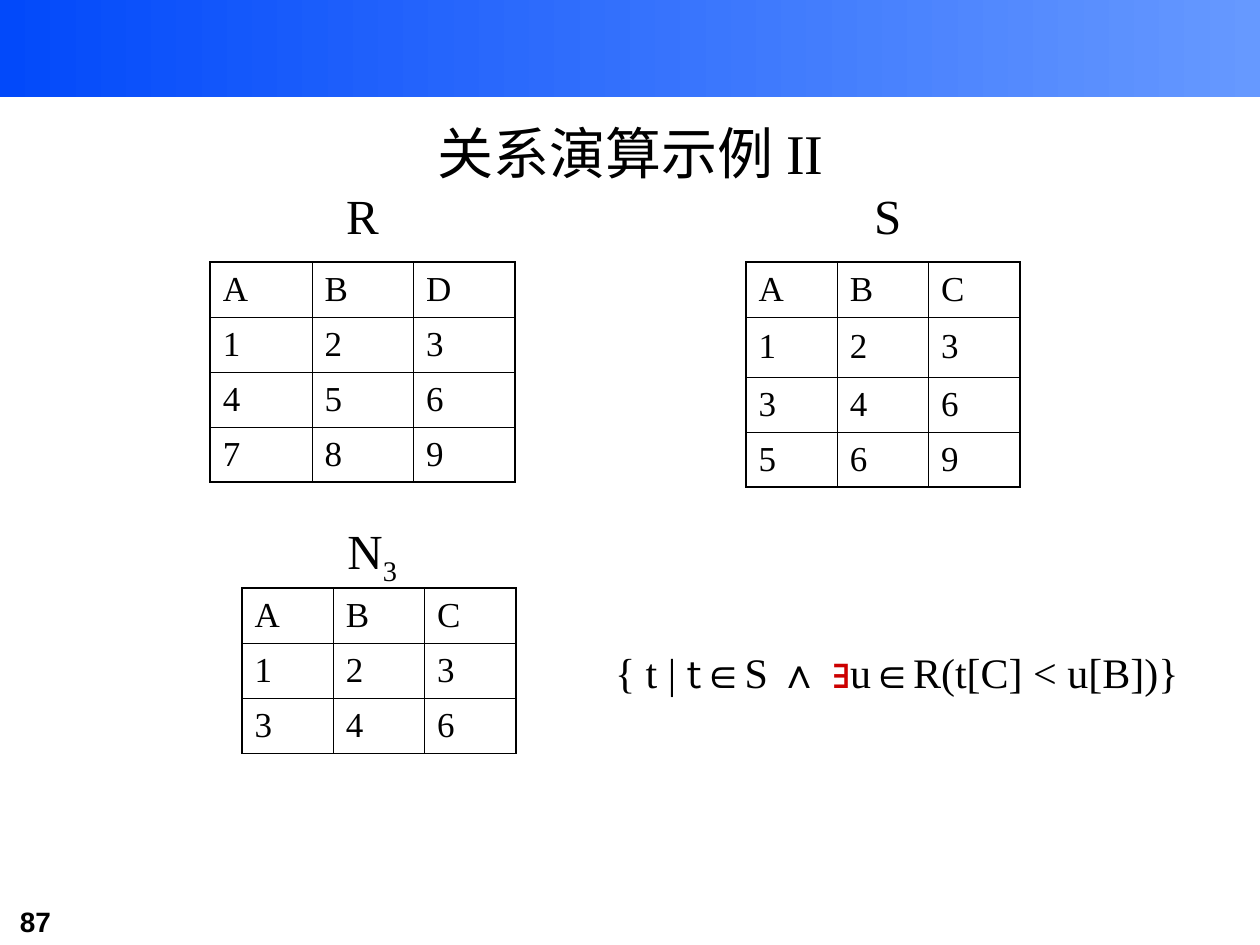
"""Build the relational calculus example slide with tables R, S and N3."""
import pptx
import pptx.dml.color
import pptx.enum.shapes
import pptx.enum.text
import pptx.oxml
import pptx.oxml.ns
import pptx.util

Cm, Pt = pptx.util.Cm, pptx.util.Pt
ALIGN = pptx.enum.text.PP_ALIGN
MIDDLE = pptx.enum.text.MSO_ANCHOR.MIDDLE
HUES = {"ink": "000000", "red": "CC0000", "deep": "0249FA", "light": "6699FF"}
SERIF, SANS = "Times New Roman", "Arial"


def write(para, text, size, face=SERIF, hue="ink"):
    run = para.add_run()
    run.text = text
    run.font.size = Pt(size)
    run.font.name = face
    run.font.color.rgb = pptx.dml.color.RGBColor.from_string(HUES[hue])
    return run


def edge(cell, side, width):
    line = pptx.oxml.parse_xml(
        f'<a:ln{side} {pptx.oxml.ns.nsdecls("a")} w="{Pt(width)}"><a:solidFill>'
        f'<a:srgbClr val="{HUES["ink"]}"/></a:solidFill></a:ln{side}>')
    cell._tc.get_or_add_tcPr().append(line)


deck = pptx.Presentation()
deck.slide_width, deck.slide_height = Cm(25.4), Cm(19.05)
slide = deck.slides.add_slide(deck.slide_layouts[5])
shapes = slide.shapes

band = shapes.add_shape(pptx.enum.shapes.MSO_SHAPE.RECTANGLE, 0, 0, Cm(25.4), Cm(1.96))
band.shadow.inherit = False
band.line.fill.background()
band.fill.gradient()
band.fill.gradient_angle = 0
for stop, hue, place in zip(band.fill.gradient_stops, ("deep", "light"), (0, 1)):
    stop.color.rgb = pptx.dml.color.RGBColor.from_string(HUES[hue])
    stop.position = place

title = shapes.title
title.left, title.top, title.width, title.height = Cm(1.91), Cm(1.7), Cm(21.59), Cm(2.74)
title.text_frame.vertical_anchor = MIDDLE
head = title.text_frame.paragraphs[0]
head.alignment = ALIGN.CENTER
write(head, "关系演算示例 II", 32)

tables = [
    (4.24, 5.28, 2.05, (1.11, 1.11, 1.11, 1.11), ("ABD", "123", "456", "789")),
    (15.04, 5.28, 1.84, (1.11, 1.21, 1.11, 1.11), ("ABC", "123", "346", "569")),
    (4.88, 11.86, 1.84, (1.11, 1.11, 1.11), ("ABC", "123", "346")),
]
for left, top, wide, highs, rows in tables:
    count = len(rows)
    grid = shapes.add_table(count, 3, Cm(left), Cm(top), Cm(3 * wide), Cm(sum(highs))).table
    grid.first_row = grid.horz_banding = False
    for col in grid.columns:
        col.width = Cm(wide)
    for r, (high, row) in enumerate(zip(highs, rows)):
        grid.rows[r].height = Cm(high)
        for c, value in enumerate(row):
            cell = grid.cell(r, c)
            cell.vertical_anchor = MIDDLE
            write(cell.text_frame.paragraphs[0], value, 20)
            outer = {"L": c == 0, "R": c == 2, "T": r == 0, "B": r == count - 1}
            for side, thick in outer.items():
                edge(cell, side, 1.08 if thick else 0.45)
            cell.fill.background()

formula = [
    ("{ t | ", SERIF, "ink"), ("t", "Karla", "ink"), ("∈", SANS, "ink"),
    ("S ", SERIF, "ink"), ("∧ ", SANS, "ink"), ("∃", SANS, "red"),
    ("u", SERIF, "ink"), ("∈", SANS, "ink"), ("R(t[C] < u[B])}", SERIF, "ink"),
]
notes = [
    (6.35, 3.61, 1.91, 1.45, 28, [("R", SERIF, "ink")]),
    (16.94, 3.61, 1.91, 1.45, 28, [("S", SERIF, "ink")]),
    (6.55, 10.36, 1.91, 1.6, 28, [("N", SERIF, "ink"), ("3", SERIF, "ink")]),
    (11.63, 12.9, 12.9, 2.82, 24, formula),
    (0.15, 18.11, 3.1, 0.94, 16, [("87", SANS, "ink")]),
]
for left, top, wide, high, size, parts in notes:
    frame = shapes.add_textbox(Cm(left), Cm(top), Cm(wide), Cm(high)).text_frame
    frame.word_wrap = True
    para = frame.paragraphs[0]
    para.alignment = ALIGN.CENTER
    for text, face, hue in parts:
        run = write(para, text, size, face, hue)
        if text == "3":
            run._r.get_or_add_rPr().set("baseline", "-25000")
        if text == "87":
            run.font.bold = True
            para.alignment = ALIGN.LEFT

deck.save("out.pptx")
